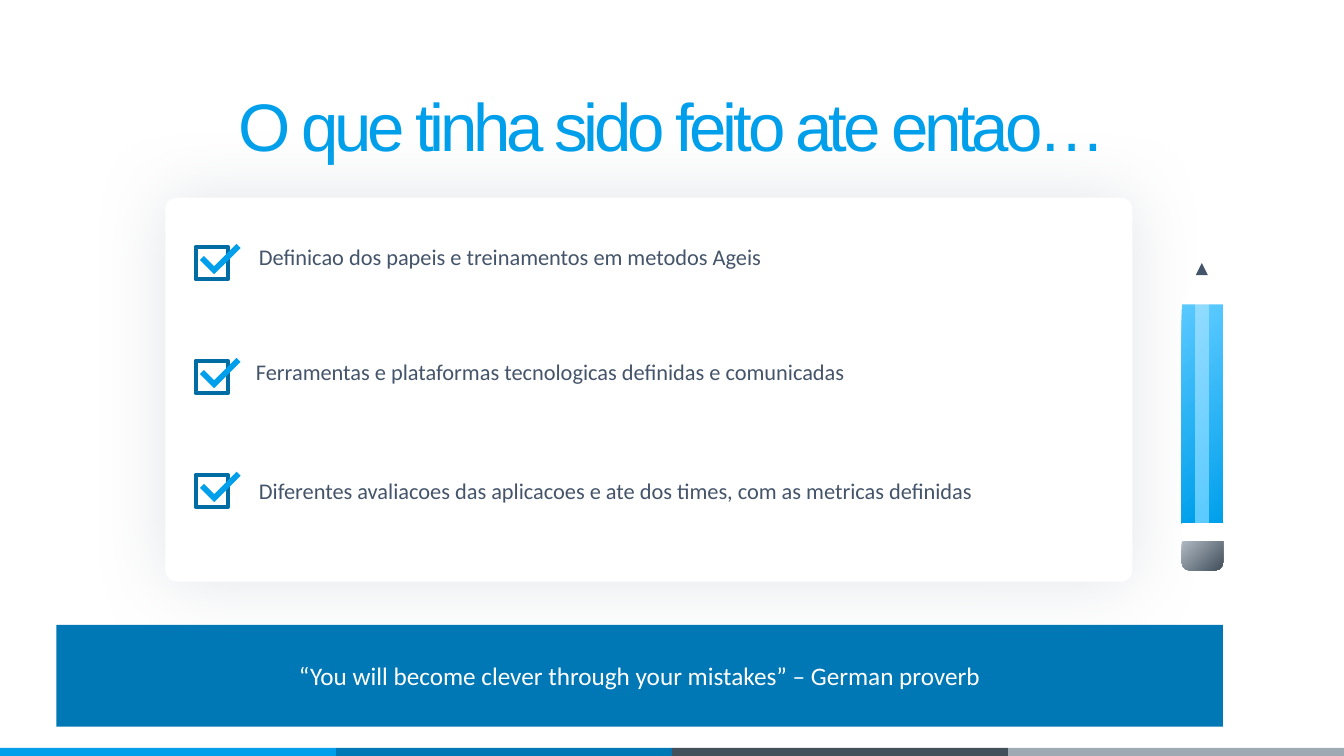
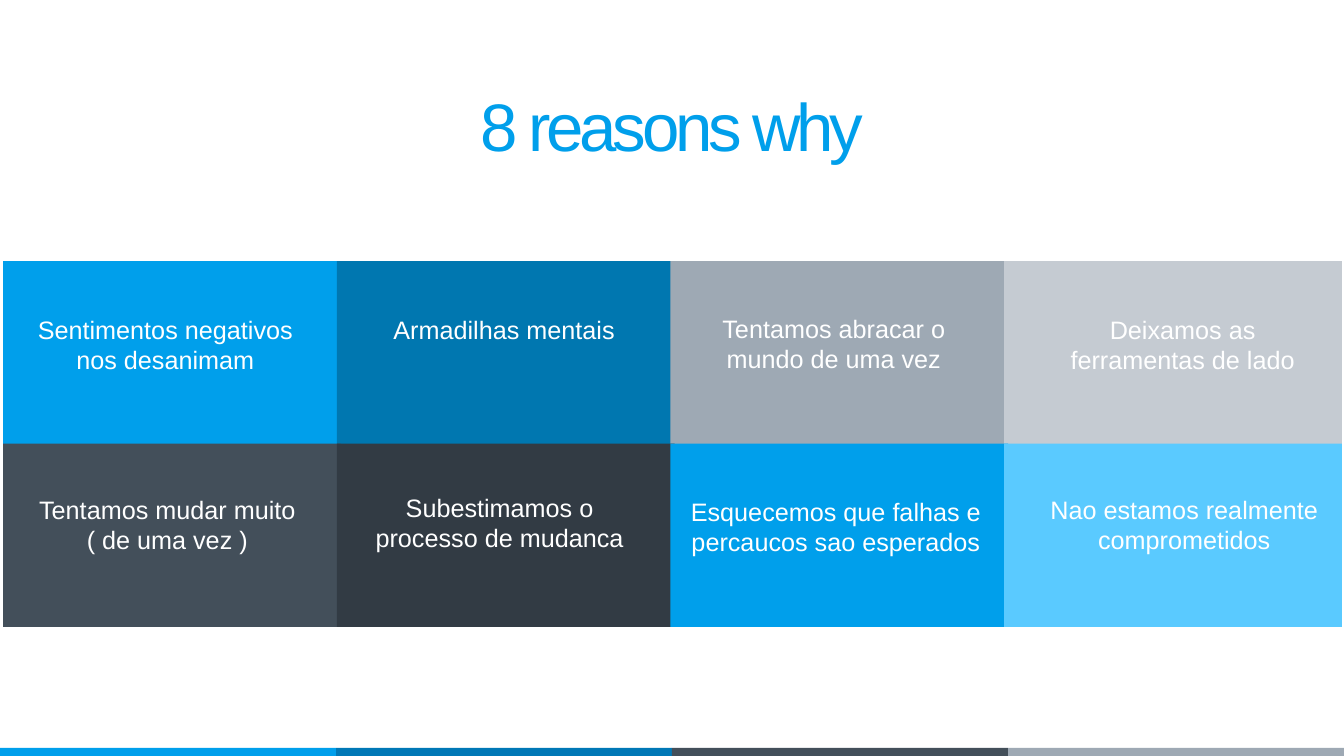
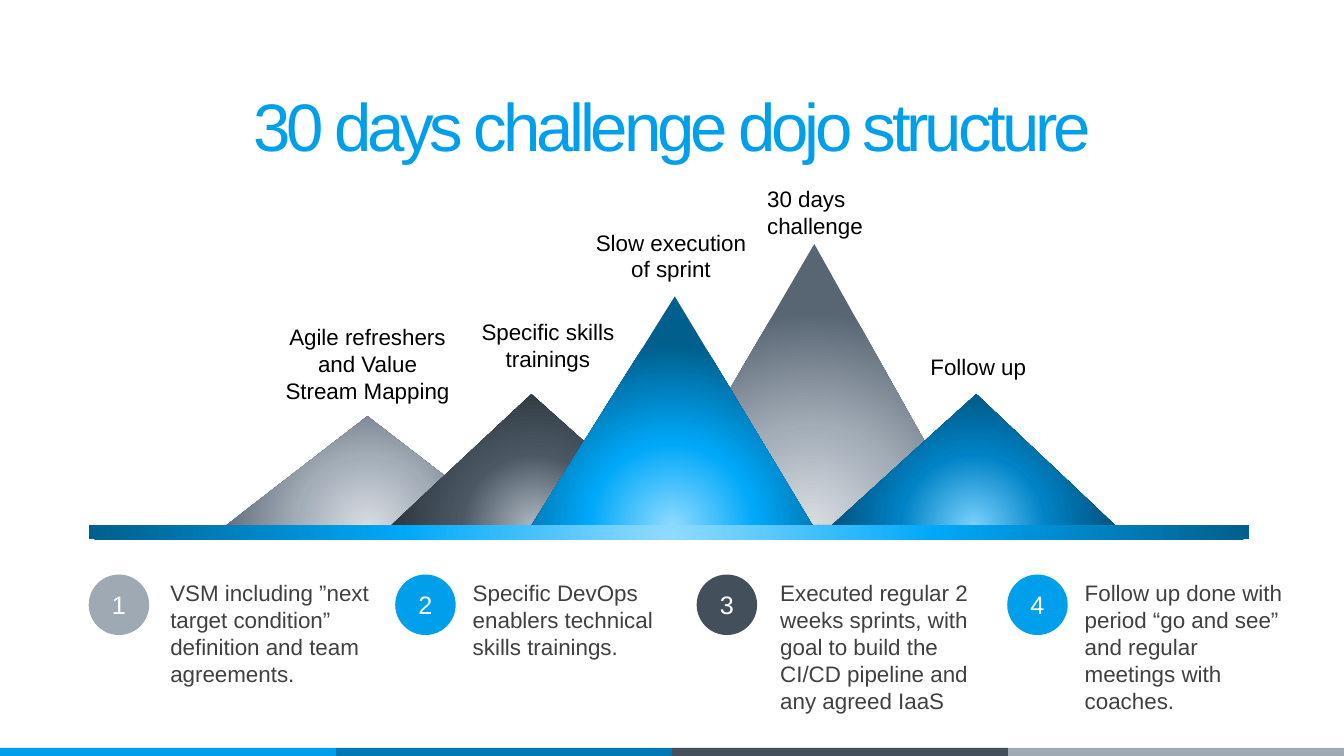
import pptx
import pptx.util
import pptx.dml.color
import pptx.enum.shapes
import pptx.enum.text
import pptx.oxml
import pptx.oxml.ns

Inches = pptx.util.Inches
Pt = pptx.util.Pt
SHAPE = pptx.enum.shapes.MSO_SHAPE
ALIGN = pptx.enum.text.PP_ALIGN
ANCHOR = pptx.enum.text.MSO_ANCHOR
FIT = pptx.enum.text.MSO_AUTO_SIZE

COLORS = {
    "sky": "009FEB",
    "blue": "0078B6",
    "slate": "434F5A",
    "gray": "9EA9B4",
    "white": "FFFFFF",
    "black": "000000",
    "body": "404040",
    "ink": "44546A",
    "box": "006CA4",
    "trap": "0077B0",
    "night": "323B44",
    "silver": "C5CBD2",
    "light": "5ACAFF",
    "pale": "91DBFF",
    "eraser": "AEB9C3",
}
BANDS = ["sky", "blue", "slate", "gray"]
GLOWS = {
    "silver": ["D8DDE1", "A3ADB8", "586572"],
    "slate": ["AEB9C3", "4B5864", "282F36"],
    "sky": ["91DBFF", "00A8F9", "005F8D"],
    "blue": ["7CD2FF", "0083C6", "00486D"],
}
DIAGONAL = '<a:lin ang="2700000" scaled="0"/>'
RADIAL = '<a:path path="circle"><a:fillToRect l="50000" t="130000" r="50000" b="-30000"/></a:path>'
NAMESPACE = pptx.oxml.ns.nsdecls("a")


def rgb(color):
    return pptx.dml.color.RGBColor.from_string(COLORS[color])


def inches(box):
    return [Inches(length) for length in box]


def add_figure(slide, kind, box, fill=None, adjustments=()):
    figure = slide.shapes.add_shape(kind, *inches(box))
    figure.shadow.inherit = False
    figure.line.fill.background()
    if fill:
        figure.fill.solid()
        figure.fill.fore_color.rgb = rgb(fill)
    else:
        figure.fill.background()
    for index, value in enumerate(adjustments):
        figure.adjustments[index] = value
    return figure


def set_gradient(figure, stops, direction):
    figure.fill.gradient()
    current = figure.element.spPr.find(pptx.oxml.ns.qn("a:gradFill"))
    marks = "".join(
        f'<a:gs pos="{position * 1000}"><a:srgbClr val="{color}"/></a:gs>' for position, color in stops
    )
    gradient = pptx.oxml.parse_xml(
        f'<a:gradFill {NAMESPACE} rotWithShape="1"><a:gsLst>{marks}</a:gsLst>{direction}</a:gradFill>'
    )
    current.getparent().replace(current, gradient)


def set_diagonal(figure, start, end):
    set_gradient(figure, [(0, COLORS[start]), (100, COLORS[end])], DIAGONAL)


def set_glow(figure, glow):
    set_gradient(figure, zip([0, 46, 100], GLOWS[glow]), RADIAL)


def set_halo(figure):
    effects = figure.element.spPr.find(pptx.oxml.ns.qn("a:effectLst"))
    effects.append(pptx.oxml.parse_xml(
        f'<a:outerShdw {NAMESPACE} blurRad="{Pt(50)}" dist="0" dir="0" algn="ctr" rotWithShape="0">'
        f'<a:srgbClr val="{COLORS["gray"]}"><a:alpha val="30000"/></a:srgbClr></a:outerShdw>'
    ))


def write(frame, text, size, color, font="Arial", align=ALIGN.LEFT):
    frame.text = text
    for paragraph in frame.paragraphs:
        paragraph.alignment = align
        paragraph.font.size = Pt(size)
        paragraph.font.name = font
        paragraph.font.color.rgb = rgb(color)


def add_text(slide, box, text, size, color, font="Arial", align=ALIGN.LEFT, wrap=True):
    frame = slide.shapes.add_textbox(*inches(box)).text_frame
    frame.word_wrap = wrap
    frame.auto_size = FIT.SHAPE_TO_FIT_TEXT
    write(frame, text, size, color, font, align)


def add_filled_label(slide, kind, box, fill, text, font="Arial"):
    frame = add_figure(slide, kind, box, fill).text_frame
    frame.vertical_anchor = ANCHOR.MIDDLE
    write(frame, text, 18, "white", font, ALIGN.CENTER)


def add_titled_slide(deck, heading):
    slide = deck.slides.add_slide(deck.slide_layouts[5])
    width = 13.33 / len(BANDS)
    for index, color in enumerate(BANDS):
        add_figure(slide, SHAPE.RECTANGLE, (index * width, 7.42, width, 0.08), color)
    title = slide.shapes.title
    title.left, title.top, title.width, title.height = inches((0, 0.79, 13.33, 0.91))
    frame = title.text_frame
    write(frame, heading, 48, "sky", align=ALIGN.CENTER)
    frame.vertical_anchor = ANCHOR.TOP
    frame.auto_size = FIT.NONE
    frame.paragraphs[0].runs[0].font._element.set("spc", "-300")
    return slide


def add_check(slide, top):
    box = add_figure(slide, SHAPE.RECTANGLE, (1.94, top, 0.32, 0.32))
    box.line.color.rgb = rgb("box")
    box.line.width = Pt(3)
    tick = add_figure(slide, SHAPE.CORNER, (2, top - 0.03, 0.37, 0.2), "sky", (0.28, 0.28))
    tick.rotation = 315


def add_pencil(slide):
    left, width = 11.72, 0.41
    stripe = width / 3
    for index, (start, end) in enumerate([("light", "sky"), ("pale", "light"), ("light", "sky")]):
        side = add_figure(slide, SHAPE.RECTANGLE, (left + index * stripe, 3.02, stripe, 2.17))
        set_diagonal(side, start, end)
    add_figure(slide, SHAPE.ISOSCELES_TRIANGLE, (left, 2.61, width, 0.41), "white")
    add_figure(slide, SHAPE.RECTANGLE, (left, 5.19, width, 0.18), "white")
    eraser = add_figure(slide, SHAPE.ROUND_2_SAME_RECTANGLE, (left, 5.37, width, 0.29), None, (0, 0.28))
    set_diagonal(eraser, "eraser", "slate")
    add_figure(slide, SHAPE.ISOSCELES_TRIANGLE, (11.86, 2.61, 0.12, 0.12), "ink")


def build_done_so_far(deck):
    slide = add_titled_slide(deck, "O que tinha sido feito ate entao…")
    add_filled_label(
        slide, SHAPE.RECTANGLE, (0.56, 6.2, 11.57, 1.01), "blue",
        "“You will become clever through your mistakes” – German proverb", "Calibri",
    )
    card = add_figure(slide, SHAPE.ROUNDED_RECTANGLE, (1.64, 1.96, 9.59, 3.81), "white", (0.03,))
    set_halo(card)
    achievements = [
        (2.47, 2.36, "Definicao dos papeis e treinamentos em metodos Ageis"),
        (2.44, 3.5, "Ferramentas e plataformas tecnologicas definidas e comunicadas"),
        (2.47, 4.68, "Diferentes avaliacoes das aplicacoes e ate dos times, com as metricas definidas"),
    ]
    for index, (left, top, achievement) in enumerate(achievements):
        add_check(slide, 2.45 + index * 1.13)
        add_text(slide, (left, top, 7.97, 0.37), achievement, 16, "ink", "Calibri")
    add_pencil(slide)


def build_reasons(deck):
    slide = add_titled_slide(deck, "8 reasons why")
    reasons = [
        ("sky", (0.06, 3.07, 3.16, 0.71), "Sentimentos negativos nos desanimam"),
        ("trap", (3.56, 3.07, 2.88, 0.4), "Armadilhas mentais"),
        ("gray", (6.72, 3.06, 3.1, 0.71), "Tentamos abracar o mundo de uma vez"),
        ("silver", (10.3, 3.07, 2.86, 0.71), "Deixamos as ferramentas de lado"),
        ("slate", (0.11, 4.85, 3.1, 0.71), "Tentamos mudar muito ( de uma vez )"),
        ("night", (3.43, 4.83, 3.05, 0.71), "Subestimamos o processo de mudanca"),
        ("sky", (6.74, 4.87, 3.1, 0.71), "Esquecemos que falhas e percaucos sao esperados"),
        ("light", (10.3, 4.85, 2.89, 0.71), "Nao estamos realmente comprometidos"),
    ]
    for index, (color, caption_box, reason) in enumerate(reasons):
        row, column = divmod(index, 4)
        tile = (0.03 + column * 3.31, 2.59 + row * 1.81, 3.35, 1.82)
        add_figure(slide, SHAPE.RECTANGLE, tile, color)
        add_text(slide, caption_box, reason, 18, "white", align=ALIGN.CENTER)


def build_dojo_structure(deck):
    slide = add_titled_slide(deck, "30 days challenge dojo structure")
    mountains = [
        ((2.22, 4.13, 2.85, 1.1), 0.5, "silver"),
        ((3.86, 3.91, 2.88, 1.32), 0.49, "slate"),
        ((6.46, 2.42, 3.17, 2.78), 0.51, "silver"),
        ((5.26, 2.94, 2.81, 2.29), 0.51, "sky"),
        ((8.23, 3.91, 2.85, 1.32), 0.51, "blue"),
    ]
    for box, peak, glow in mountains:
        set_glow(add_figure(slide, SHAPE.ISOSCELES_TRIANGLE, box, None, (peak,)), glow)
    set_glow(add_figure(slide, SHAPE.RECTANGLE, (0.88, 5.21, 11.51, 0.14)), "sky")

    phases = [
        ((2.72, 3.16, 1.85, 0.91), "Agile refreshers\nand Value\nStream Mapping", ALIGN.CENTER),
        ((4.67, 3.11, 1.53, 0.64), "Specific skills\ntrainings", ALIGN.CENTER),
        ((5.77, 2.22, 1.77, 0.64), "Slow execution\nof sprint", ALIGN.CENTER),
        ((7.51, 1.79, 1.22, 0.64), "30 days\nchallenge", ALIGN.LEFT),
        ((9.13, 3.45, 1.16, 0.37), "Follow up", ALIGN.LEFT),
    ]
    for box, phase, align in phases:
        add_text(slide, box, phase, 16, "black", align=align, wrap=False)

    steps = [
        (0.88, "gray", 1.59, 1.18, "VSM including ”next target condition” definition and team agreements."),
        (3.92, "sky", 4.59, 0.91, "Specific DevOps enablers technical skills trainings."),
        (6.91, "slate", 7.64, 1.45,
         "Executed regular 2 weeks sprints, with goal to build the CI/CD pipeline and any agreed IaaS"),
        (9.99, "sky", 10.66, 1.45,
         "Follow up done with period “go and see” and regular meetings with coaches."),
    ]
    for number, (badge_left, color, left, height, step) in enumerate(steps, 1):
        add_filled_label(slide, SHAPE.OVAL, (badge_left, 5.7, 0.6, 0.6), color, str(number))
        add_text(slide, (left, 5.7, 2.19, height), step, 16, "body")


def main():
    deck = pptx.Presentation()
    deck.slide_width = Inches(13.33)
    deck.slide_height = Inches(7.5)
    build_done_so_far(deck)
    build_reasons(deck)
    build_dojo_structure(deck)
    deck.save("out.pptx")


if __name__ == "__main__":
    main()
